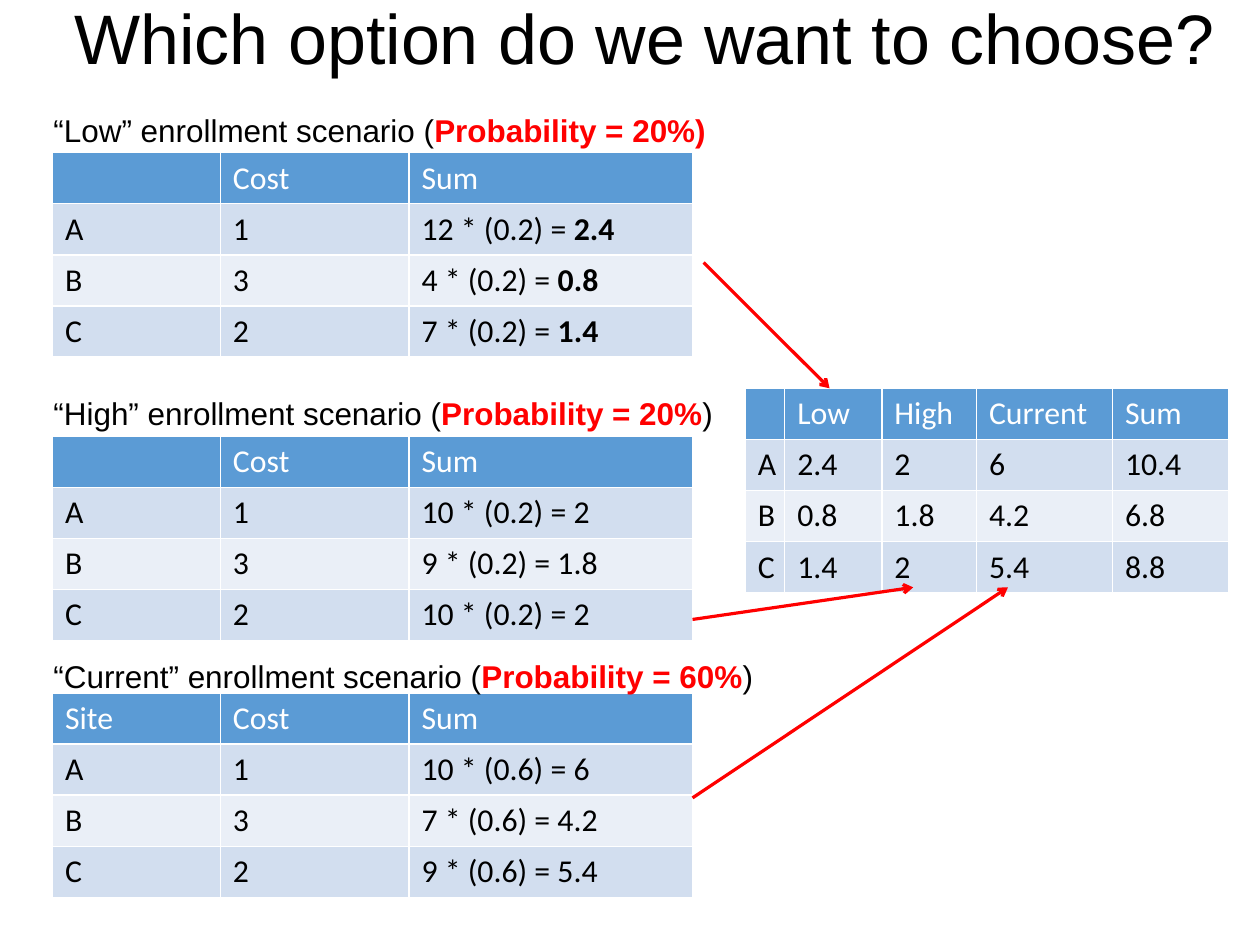
from lxml.etree import SubElement
from pptx import Presentation
from pptx.dml.color import RGBColor
from pptx.enum.shapes import MSO_CONNECTOR as Connector
from pptx.enum.text import MSO_ANCHOR as Anchor, MSO_AUTO_SIZE as AutoSize, PP_ALIGN as Align
from pptx.oxml.ns import qn
from pptx.util import Pt

BLACK, WHITE, RED = "000000", "FFFFFF", "FF0000"
HEADER_FILL, ROW_FILLS = "5B9BD5", ("D2DEEF", "EAEFF7")
ROW_HEIGHT = 32.2
SITES = ("A", "B", "C")
COSTS = (1, 3, 2)
SCENARIO_LEFT = 33.1
SCENARIO_COLUMNS = (105.8, 118.8, 178.6)
SUMMARY_COLUMNS = (24.9, 61.2, 59.6, 85.7, 72.9)


def color(hex_code):
    return RGBColor.from_string(hex_code)


def write_runs(paragraph, pieces, font_name, size):
    for text, hex_code, bold in pieces:
        run = paragraph.add_run()
        run.text = text
        run.font.name = font_name
        run.font.size = Pt(size)
        run.font.bold = bold
        run.font.color.rgb = color(hex_code)


def add_title(slide, text):
    title = slide.shapes.add_textbox(Pt(20), Pt(0), Pt(773), Pt(46))
    frame = title.text_frame
    frame.word_wrap = True
    frame.vertical_anchor = Anchor.MIDDLE
    frame.margin_left = frame.margin_right = frame.margin_top = frame.margin_bottom = 0
    frame.paragraphs[0].alignment = Align.CENTER
    write_runs(frame.paragraphs[0], [(text, BLACK, False)], "Arial", 44.1)


def add_heading(slide, top, width, pieces):
    heading = slide.shapes.add_textbox(Pt(26.6), Pt(top), Pt(width), Pt(31))
    frame = heading.text_frame
    frame.word_wrap = True
    frame.auto_size = AutoSize.SHAPE_TO_FIT_TEXT
    write_runs(frame.paragraphs[0], pieces, "Arial", 19.8)


def add_borders(cell):
    properties = cell._tc.get_or_add_tcPr()
    for side in "LRTB":
        border = SubElement(properties, qn(f"a:ln{side}"), w=str(Pt(1)))
        fill = SubElement(border, qn("a:solidFill"))
        SubElement(fill, qn("a:srgbClr"), val=WHITE)


def fill_cell(cell, content, text_color, fill):
    add_borders(cell)
    cell.fill.solid()
    cell.fill.fore_color.rgb = color(fill)
    cell.margin_left = cell.margin_right = Pt(7.9)
    cell.margin_top = cell.margin_bottom = Pt(3.9)
    plain, strong = content if isinstance(content, tuple) else (content, "")
    pieces = [(plain, text_color, False), (strong, text_color, True)]
    write_runs(cell.text_frame.paragraphs[0], [p for p in pieces if p[0]], "Calibri", 20)


def add_grid(slide, left, top, column_widths, rows):
    frame = slide.shapes.add_table(len(rows), len(column_widths), Pt(left), Pt(top),
                                   Pt(sum(column_widths)), Pt(ROW_HEIGHT * len(rows)))
    table = frame.table
    for column, width in zip(table.columns, column_widths):
        column.width = Pt(width)
    for index, contents in enumerate(rows):
        table.rows[index].height = Pt(ROW_HEIGHT)
        fill = ROW_FILLS[(index - 1) % 2] if index else HEADER_FILL
        for cell, content in zip(table.rows[index].cells, contents):
            fill_cell(cell, content, BLACK if index else WHITE, fill)


def add_arrow(slide, start, end):
    arrow = slide.shapes.add_connector(Connector.STRAIGHT, *map(Pt, start + end))
    arrow.line.color.rgb = color(RED)
    arrow.line.width = Pt(2)
    SubElement(arrow.line._get_or_add_ln(), qn("a:tailEnd"), type="arrow")
    SubElement(arrow._element.spPr, qn("a:effectLst"))


def weighted(totals, probability):
    return [round(total * probability, 1) for total in totals]


def scenario_rows(corner, totals, probability, bold_result):
    rows = [(corner, "Cost", "Sum")]
    for site, cost, total, result in zip(SITES, COSTS, totals, weighted(totals, probability)):
        formula, answer = f"{total} * ({probability}) = ", f"{result:g}"
        rows.append((site, str(cost), (formula, answer) if bold_result else formula + answer))
    return rows


def summary_rows(scenarios):
    rows = [("", *(name for name, *_ in scenarios), "Sum")]
    results = [weighted(totals, probability) for _, probability, totals, *_ in scenarios]
    for site, values in zip(SITES, zip(*results)):
        rows.append((site, *(f"{value:g}" for value in (*values, round(sum(values), 1)))))
    return rows


def main():
    scenarios = [
        ("Low", 0.2, (12, 4, 7), "", 66.2, 516, 96.2),
        ("High", 0.2, (10, 9, 10), "", 244.8, 582, 274.8),
        ("Current", 0.6, (10, 7, 9), "Site", 410.2, 549, 436.5),
    ]
    presentation = Presentation()
    presentation.slide_width, presentation.slide_height = Pt(793.75), Pt(595.25)
    slide = presentation.slides.add_slide(presentation.slide_layouts[6])

    add_title(slide, "Which option do we want to choose?")
    for name, probability, totals, corner, heading_top, heading_width, table_top in scenarios:
        is_low = name == "Low"
        add_grid(slide, SCENARIO_LEFT, table_top, SCENARIO_COLUMNS,
                 scenario_rows(corner, totals, probability, is_low))
        add_heading(slide, heading_top, heading_width, [
            (f"“{name}” enrollment scenario (", BLACK, False),
            (f"Probability = {probability:.0%}", RED, True),
            (")", RED if is_low else BLACK, is_low),
        ])
    add_grid(slide, 469.5, 244.6, SUMMARY_COLUMNS, summary_rows(scenarios))

    add_arrow(slide, (443.3, 165.4), (522.6, 244.6))
    add_arrow(slide, (436.3, 390.2), (575.3, 370))
    add_arrow(slide, (436.3, 502.6), (635, 370))
    presentation.save("out.pptx")


if __name__ == "__main__":
    main()
